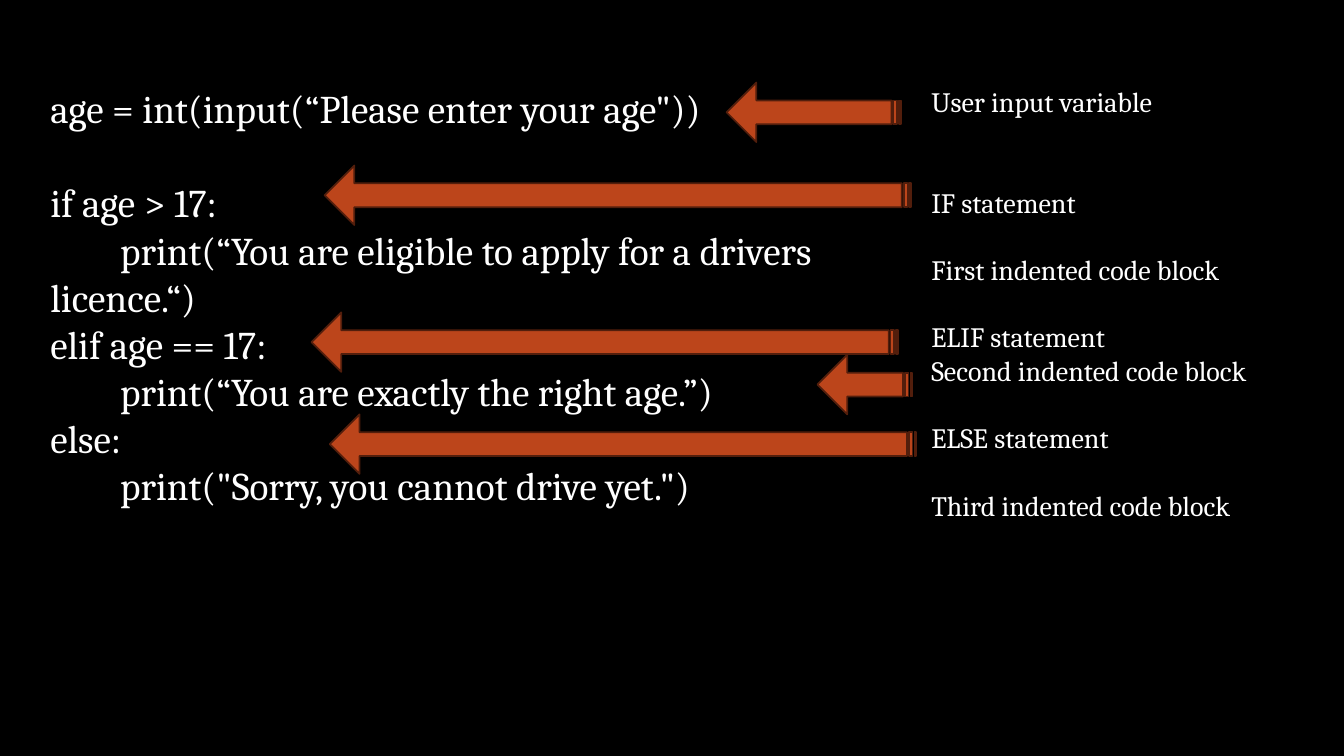
"""Build a slide that annotates an if/elif/else program with arrows and labels."""
from dataclasses import dataclass

import pptx
import pptx.dml.color
import pptx.enum.shapes
import pptx.slide
import pptx.util

Cm = pptx.util.Cm
Pt = pptx.util.Pt

FONT = "Cambria"
WHITE, BLACK = "FFFFFF", "000000"
ARROW_FILL, ARROW_LINE = "BC451B", "521E0C"
ARROW_HEIGHT = 1.5
LINE_PITCH = 1.2
CODE_INDENT = 1.76


@dataclass
class Line:
    text: str
    blank_before: int = 0
    indented: bool = False


@dataclass
class TextBlock:
    left: float
    top: float
    width: float
    height: float
    size: int
    lines: list[Line]


@dataclass
class Arrow:
    left: float
    top: float
    width: float = 14.78


CODE = TextBlock(1.02, 2.01, 21.03, 11.02, 28, [
    Line('age = int(input(“Please enter your age"))'),
    Line("if age > 17:", blank_before=1),
    Line("print(“You are eligible to apply for a drivers licence.“)", indented=True),
    Line("elif age == 17:"),
    Line("print(“You are exactly the right age.”)", indented=True),
    Line("else:"),
    Line('print("Sorry, you cannot drive yet.")', indented=True),
])

LABELS = TextBlock(23.22, 2.01, 9.63, 11.38, 20, [
    Line("User input variable"),
    Line("IF statement", blank_before=2),
    Line("First indented code block", blank_before=1),
    Line("ELIF statement", blank_before=1),
    Line("Second indented code block"),
    Line("ELSE statement", blank_before=1),
    Line("Third indented code block", blank_before=1),
])

ARROWS = [
    Arrow(18.31, 2.08, 4.39),
    Arrow(8.18, 4.17),
    Arrow(20.6, 8.94, 2.39),
    Arrow(7.85, 7.87),
    Arrow(8.31, 10.44),
]


def rgb(value: str) -> pptx.dml.color.RGBColor:
    """Turn a hex string into a colour."""
    return pptx.dml.color.RGBColor.from_string(value)


def add_text(s: pptx.slide.Slide, block: TextBlock) -> None:
    """Add a text box with one paragraph per line."""
    sp = s.shapes.add_textbox(Cm(block.left), Cm(block.top), Cm(block.width), Cm(block.height))
    tf = sp.text_frame
    tf.word_wrap = True
    for i, line in enumerate(block.lines):
        p = tf.add_paragraph() if i else tf.paragraphs[0]
        p.text = line.text
        p.font.name = FONT
        p.font.size = Pt(block.size)
        p.font.color.rgb = rgb(WHITE)
        p.space_before = Pt(line.blank_before * block.size * LINE_PITCH)
        if line.indented:
            p._p.get_or_add_pPr().set("indent", str(Cm(CODE_INDENT)))


def add_arrow(s: pptx.slide.Slide, arrow: Arrow) -> None:
    """Add a striped arrow that points left."""
    sp = s.shapes.add_shape(
        pptx.enum.shapes.MSO_SHAPE.STRIPED_RIGHT_ARROW,
        Cm(arrow.left), Cm(arrow.top), Cm(arrow.width), Cm(ARROW_HEIGHT),
    )
    sp.rotation = 180
    sp.adjustments[0] = 0.4
    sp.adjustments[1] = 0.5
    sp.shadow.inherit = False
    sp.fill.solid()
    sp.fill.fore_color.rgb = rgb(ARROW_FILL)
    sp.line.color.rgb = rgb(ARROW_LINE)
    sp.line.width = Pt(1.25)


def main() -> None:
    """Build and save the slide."""
    prs = pptx.Presentation()
    prs.slide_width, prs.slide_height = Cm(33.87), Cm(19.05)
    s = prs.slides.add_slide(prs.slide_layouts[6])
    s.background.fill.solid()
    s.background.fill.fore_color.rgb = rgb(BLACK)
    for block in (CODE, LABELS):
        add_text(s, block)
    for arrow in ARROWS:
        add_arrow(s, arrow)
    prs.save("out.pptx")


if __name__ == "__main__":
    main()
